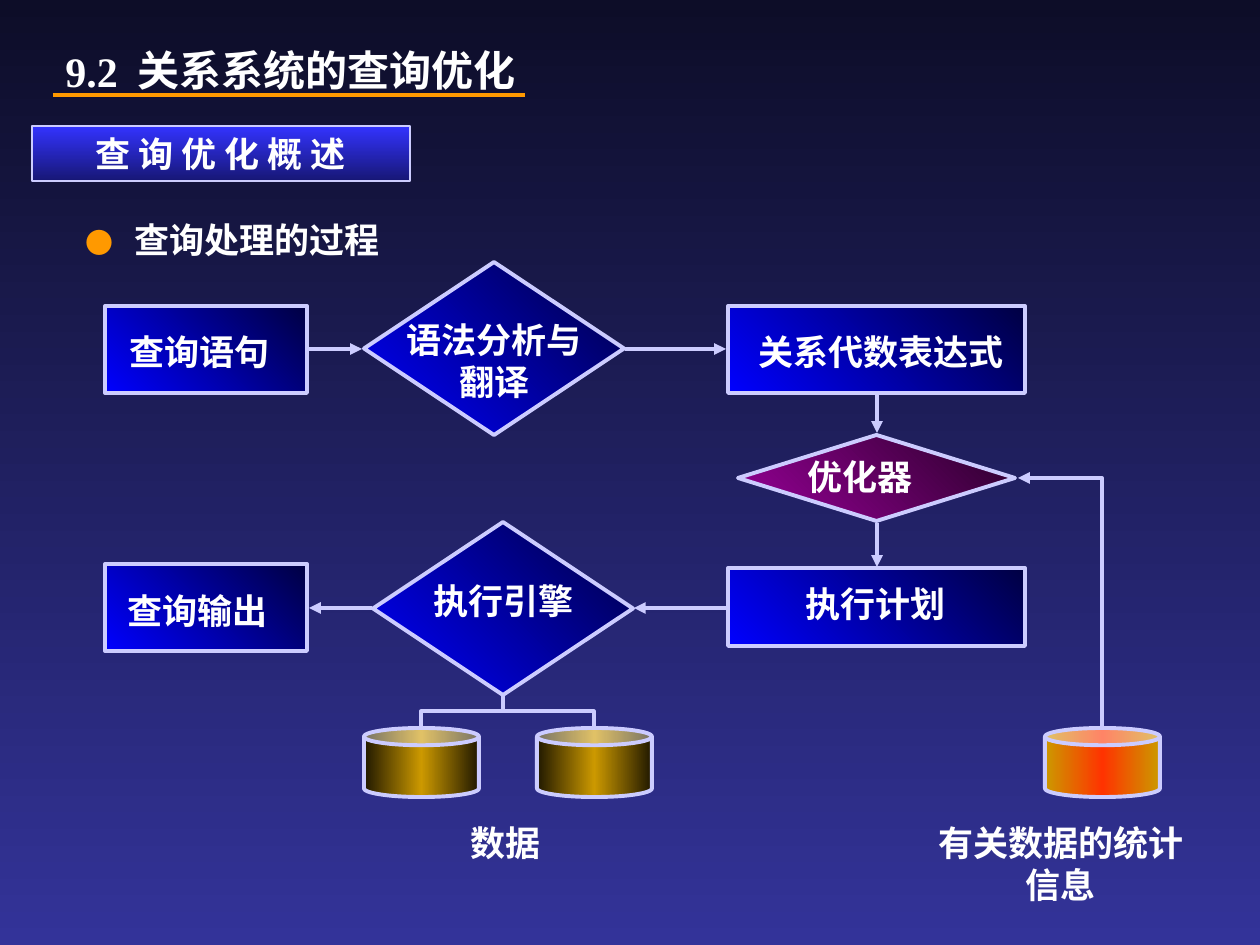
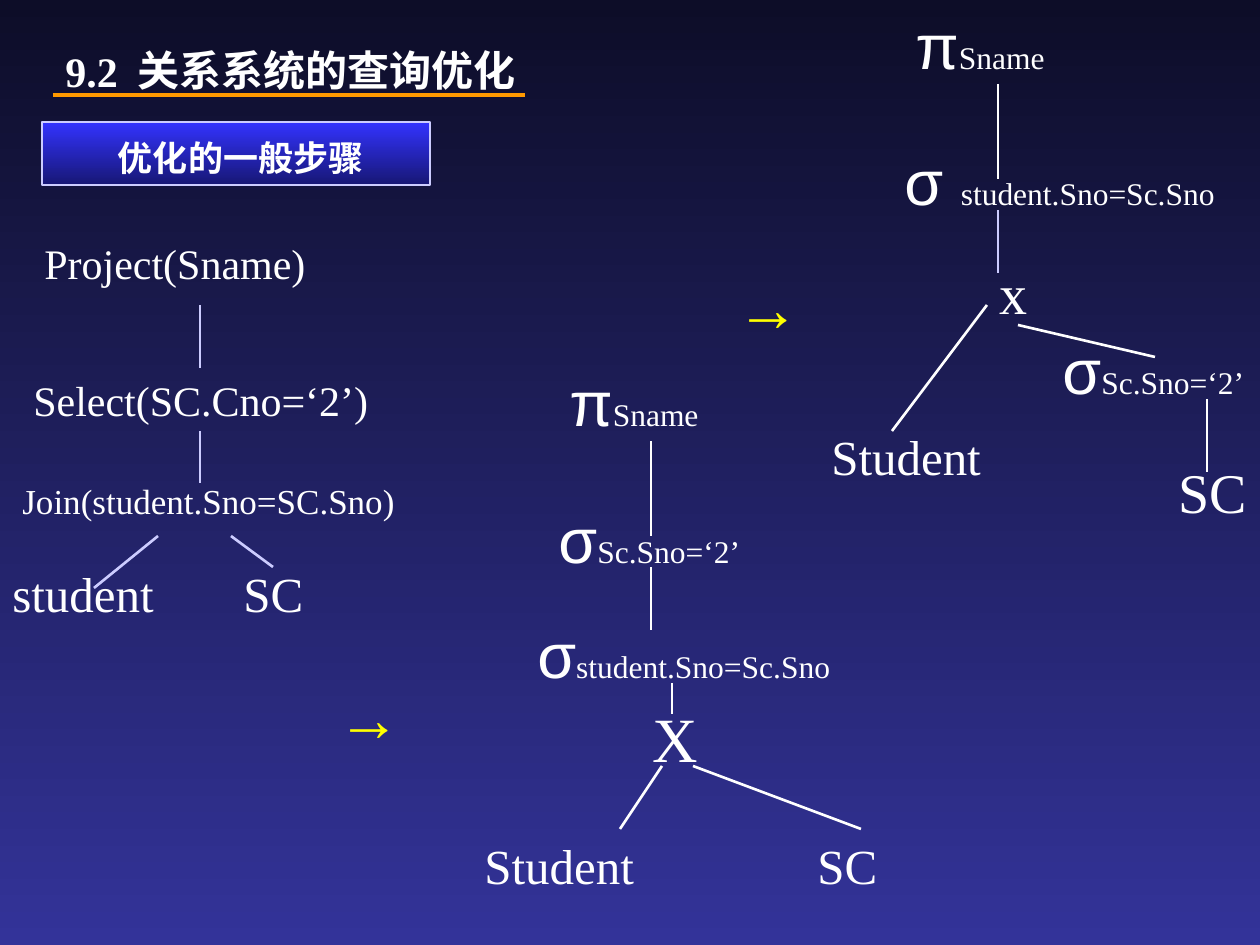
from copy import deepcopy

from pptx import Presentation
from pptx.dml.color import RGBColor
from pptx.enum.shapes import MSO_CONNECTOR, MSO_SHAPE
from pptx.enum.text import MSO_ANCHOR, PP_ALIGN
from pptx.oxml.ns import qn
from pptx.util import Emu, Pt

EMU_PER_INCH, PX_PER_INCH = 914400, 126

WHITE = RGBColor(0xFF, 0xFF, 0xFF)
ORANGE = RGBColor(0xFF, 0x99, 0x00)
YELLOW = RGBColor(0xFF, 0xFF, 0x00)
LAVENDER = RGBColor(0xCC, 0xCC, 0xFF)
BACKGROUND = [RGBColor(0x0D, 0x0D, 0x28), RGBColor(0x33, 0x33, 0x99)]
BANNER = [RGBColor(0x33, 0x33, 0xFF), RGBColor(0x17, 0x17, 0x75)]
BLUE = [RGBColor(0x00, 0x00, 0x42), RGBColor(0x00, 0x00, 0xFF)]
PURPLE = [RGBColor(0x28, 0x00, 0x28), RGBColor(0x99, 0x00, 0x99)]
DARK_GOLD, GOLD = RGBColor(0x20, 0x18, 0x00), RGBColor(0xCC, 0x99, 0x00)
RED = RGBColor(0xFF, 0x33, 0x00)
DATA_CAN = [DARK_GOLD, GOLD, DARK_GOLD]
STATS_CAN = [GOLD, RED, GOLD]

SERIF, SANS = "Times New Roman", "Arial"
RECT, DIAMOND, CAN = MSO_SHAPE.RECTANGLE, MSO_SHAPE.DIAMOND, MSO_SHAPE.CAN
STRAIGHT, ELBOW = MSO_CONNECTOR.STRAIGHT, MSO_CONNECTOR.ELBOW
LEFT, CENTER = PP_ALIGN.LEFT, PP_ALIGN.CENTER
TOP, MIDDLE = MSO_ANCHOR.TOP, MSO_ANCHOR.MIDDLE


def px(value):
    return Emu(round(value * EMU_PER_INCH / PX_PER_INCH))


def emu(lengths):
    return [px(v) for v in lengths]


def apply(target, formats):
    for name, value in formats.items():
        setattr(target, name, value)


def add_gradient(fill, element, colors, angle):
    """Spread the colours evenly along a clockwise angle."""
    fill.gradient()
    stops = next(element.iter(qn("a:gsLst")))
    while len(stops) < len(colors):
        stops.append(deepcopy(stops[0]))
    for i, stop in enumerate(fill.gradient_stops):
        stop.color.rgb = colors[i]
        stop.position = i / (len(colors) - 1)
    fill.gradient_angle = 360 - angle


def add_runs(p, runs, color=WHITE, bold=False):
    for text, size, font in runs:
        r = p.add_run()
        r.text = text
        apply(r.font, {"size": Pt(size), "name": font, "bold": bold})
        r.font.color.rgb = color


def add_text(s, box, runs, color=WHITE, bold=False, align=LEFT, anchor=TOP):
    tf = s.shapes.add_textbox(*emu(box)).text_frame
    apply(tf, {"word_wrap": True, "vertical_anchor": anchor})
    p = tf.paragraphs[0]
    p.alignment = align
    add_runs(p, runs, color, bold)
    return p


def add_block(s, kind, box, colors, angle=135, width=2.25):
    sp = s.shapes.add_shape(kind, *emu(box))
    sp.shadow.inherit = False
    add_gradient(sp.fill, sp._element, colors, angle)
    sp.line.color.rgb = LAVENDER
    sp.line.width = Pt(width)
    return sp


def add_line(s, ends, color=LAVENDER, width=2.25, arrow=None, kind=STRAIGHT):
    """Join two points; arrow names the end with a head: headEnd or tailEnd."""
    line = s.shapes.add_connector(kind, *emu(ends))
    line.line.color.rgb = color
    line.line.width = Pt(width)
    if arrow:
        ln = line.line._get_or_add_ln()
        ln.append(ln.makeelement(qn(f"a:{arrow}"), {"type": "triangle"}))
    properties = line._element.spPr
    properties.append(properties.makeelement(qn("a:effectLst"), {}))
    return line


def add_branch(s, x, y, to_x, to_y):
    """Elbow that leaves downwards, crosses, and arrives downwards."""
    half_w, half_h = (to_y - y) / 2, abs(to_x - x) / 2
    mid_x, mid_y = (x + to_x) / 2, (y + to_y) / 2
    side, turn = (1, 90) if to_x < x else (-1, 270)
    line = add_line(s, (mid_x - side * half_w, mid_y - half_h,
                        mid_x + side * half_w, mid_y + half_h), kind=ELBOW)
    line._element.spPr.find(qn("a:xfrm")).set("rot", str(turn * 60000))


def add_corner(s, ends, arrow):
    line = add_line(s, ends, arrow=arrow, kind=ELBOW)
    line._element.spPr.find(qn("a:prstGeom")).set("prst", "bentConnector2")


def add_banner(s, box, text, **formats):
    sp = add_block(s, RECT, box, BANNER, angle=90, width=0.75)
    tf = sp.text_frame
    tf.vertical_anchor = MIDDLE
    p = tf.paragraphs[0]
    p.alignment = CENTER
    if "indent" in formats:
        p.alignment = LEFT
        tf.margin_left = px(formats.pop("indent"))
    apply(p, formats)
    add_runs(p, [(text, 20, SERIF)], bold=True)


def add_bullet_heading(s, box, text):
    """Orange disc, then the heading at a hanging indent."""
    p = add_text(s, box, [])
    properties = p._p.get_or_add_pPr()
    properties.set("marL", str(px(56)))
    properties.set("indent", str(px(-49)))
    add_runs(p, [("●", 16, SERIF)], ORANGE, bold=True)
    add_runs(p, [("\t" + text, 20, SERIF)], bold=True)


def add_base_slide(prs):
    """Blank slide with the shared background, chapter title and rule."""
    s = prs.slides.add_slide(prs.slide_layouts[6])
    add_gradient(s.background.fill, s._element, BACKGROUND, 90)
    add_text(s, (53, 39, 81, 63), [("9.2", 24, SERIF)], bold=True)
    add_line(s, (53, 95, 525, 95), ORANGE)
    add_text(s, (125, 14, 442, 112), [("关系系统的查询优化", 24, SERIF)],
             bold=True, anchor=MIDDLE)
    return s


def add_flowchart(s, left, top):
    blocks = [
        (RECT, (0, 44, 202, 87), BLUE),
        (DIAMOND, (259, 0, 260, 173), BLUE),
        (RECT, (623, 44, 297, 87), BLUE),
        (DIAMOND, (633, 173, 277, 86), PURPLE),
        (RECT, (623, 306, 297, 78), BLUE),
        (DIAMOND, (268, 260, 260, 173), BLUE),
        (RECT, (0, 302, 202, 87), BLUE),
    ]
    labels = [
        ("查询语句", (0, 62, 190, 55)),
        ("语法分析与翻译", (288, 50, 203, 97)),
        ("关系代数表达式", (626, 62, 300, 55)),
        ("优化器", (675, 187, 160, 55)),
        ("执行计划", (631, 314, 280, 55)),
        ("执行引擎", (297, 311, 203, 55)),
        ("查询输出", (-2, 321, 190, 55)),
        ("数据", (323, 553, 155, 55)),
        ("有关数据的统计信息", (809, 553, 294, 97)),
    ]
    arrows = [
        (204, 87, 257, 87), (520, 87, 621, 87), (772, 132, 772, 171),
        (772, 261, 772, 305), (621, 346, 529, 346), (267, 346, 204, 346),
    ]
    for kind, (x, y, w, h), colors in blocks:
        add_block(s, kind, (left + x, top + y, w, h), colors)
    for x, colors in ((259, DATA_CAN), (432, DATA_CAN), (940, STATS_CAN)):
        add_block(s, CAN, (left + x, top + 466, 115, 69), colors, angle=180)
    for x1, y1, x2, y2 in arrows:
        add_line(s, (left + x1, top + y1, left + x2, top + y2), arrow="tailEnd")
    add_corner(s, (left + 913, top + 216, left + 997, top + 465), "headEnd")
    for can_x in (316, 489):
        add_branch(s, left + 398, top + 434, left + can_x, top + 465)
    for text, (x, y, w, h) in labels:
        add_text(s, (left + x, top + y, w, h), [(text, 20, SERIF)], bold=True,
                 align=CENTER)


def word(text, size):
    return [(text, size, SERIF)]


def operator(symbol, subscript):
    return [(symbol, 36, SANS), (subscript, 18, SERIF)]


def add_tree(s, left, top, nodes, edges):
    """Place nodes (x, y, width, runs) and edges (ends, colour) from a corner."""
    for x, y, width, runs in nodes:
        height = runs[0][1] * 2.1 + 13
        add_text(s, (left + x, top + y, width, height), runs)
    for (x1, y1, x2, y2), color in edges:
        add_line(s, (left + x1, top + y1, left + x2, top + y2), color, 1.5)


def add_plan_tree(s, left, top):
    nodes = [
        (32, 0, 378, word("Project(Sname)", 24)),
        (21, 137, 431, word("Select(SC.Cno=‘2’)", 24)),
        (10, 242, 494, word("Join(student.Sno=SC.Sno)", 20)),
        (0, 326, 210, word("student", 28)),
        (231, 326, 126, word("SC", 28)),
    ]
    ends = [(200, 74, 200, 137), (200, 200, 200, 252),
            (158, 305, 94, 357), (231, 305, 273, 336)]
    add_tree(s, left, top, nodes, [(e, LAVENDER) for e in ends])


def add_product_tree(s, left, top):
    nodes = [
        (85, 0, 220, operator("π", "Sname")),
        (74, 137, 336, operator("σ", "Sc.Sno=‘2’")),
        (53, 252, 378, operator("σ", "student.Sno=Sc.Sno")),
        (168, 336, 105, word("X", 36)),
        (0, 472, 210, word("Student", 28)),
        (333, 472, 126, word("SC", 28)),
    ]
    ends = [(179, 84, 179, 179), (179, 210, 179, 273), (200, 326, 200, 357),
            (190, 409, 148, 472), (221, 409, 389, 472)]
    add_tree(s, left, top, nodes, [(e, WHITE) for e in ends])


def add_pushed_tree(s, left, top):
    nodes = [
        (84, 0, 220, operator("π", "Sname")),
        (73, 136, 350, operator("σ ", "student.Sno=Sc.Sno")),
        (168, 252, 60, word("x", 32)),
        (231, 325, 336, operator("σ", "Sc.Sno=‘2’")),
        (0, 420, 199, word("Student", 28)),
        (347, 451, 158, word("SC", 32)),
    ]
    edges = [
        ((179, 84, 179, 179), WHITE), ((179, 210, 179, 273), LAVENDER),
        ((168, 305, 73, 431), WHITE), ((199, 325, 336, 357), WHITE),
        ((388, 399, 388, 472), WHITE),
    ]
    add_tree(s, left, top, nodes, edges)


def add_process_slide(prs):
    s = add_base_slide(prs)
    add_banner(s, (32, 126, 378, 55), "查 询 优 化 概 述")
    add_bullet_heading(s, (66, 212, 400, 55), "查询处理的过程")
    add_flowchart(s, 105, 262)


def add_steps_slide(prs):
    s = add_base_slide(prs)
    add_banner(s, (42, 122, 388, 63), "优化的一般步骤", indent=76, line_spacing=1.2)
    add_plan_tree(s, 0, 231)
    add_product_tree(s, 472, 357)
    add_pushed_tree(s, 819, 0)
    for x, y in ((325, 672), (724, 262)):
        add_text(s, (x, y, 179, 88), [("→", 36, SANS)], YELLOW)


def main():
    prs = Presentation()
    prs.slide_width, prs.slide_height = px(1260), px(945)
    add_process_slide(prs)
    add_steps_slide(prs)
    prs.save("out.pptx")


if __name__ == "__main__":
    main()
